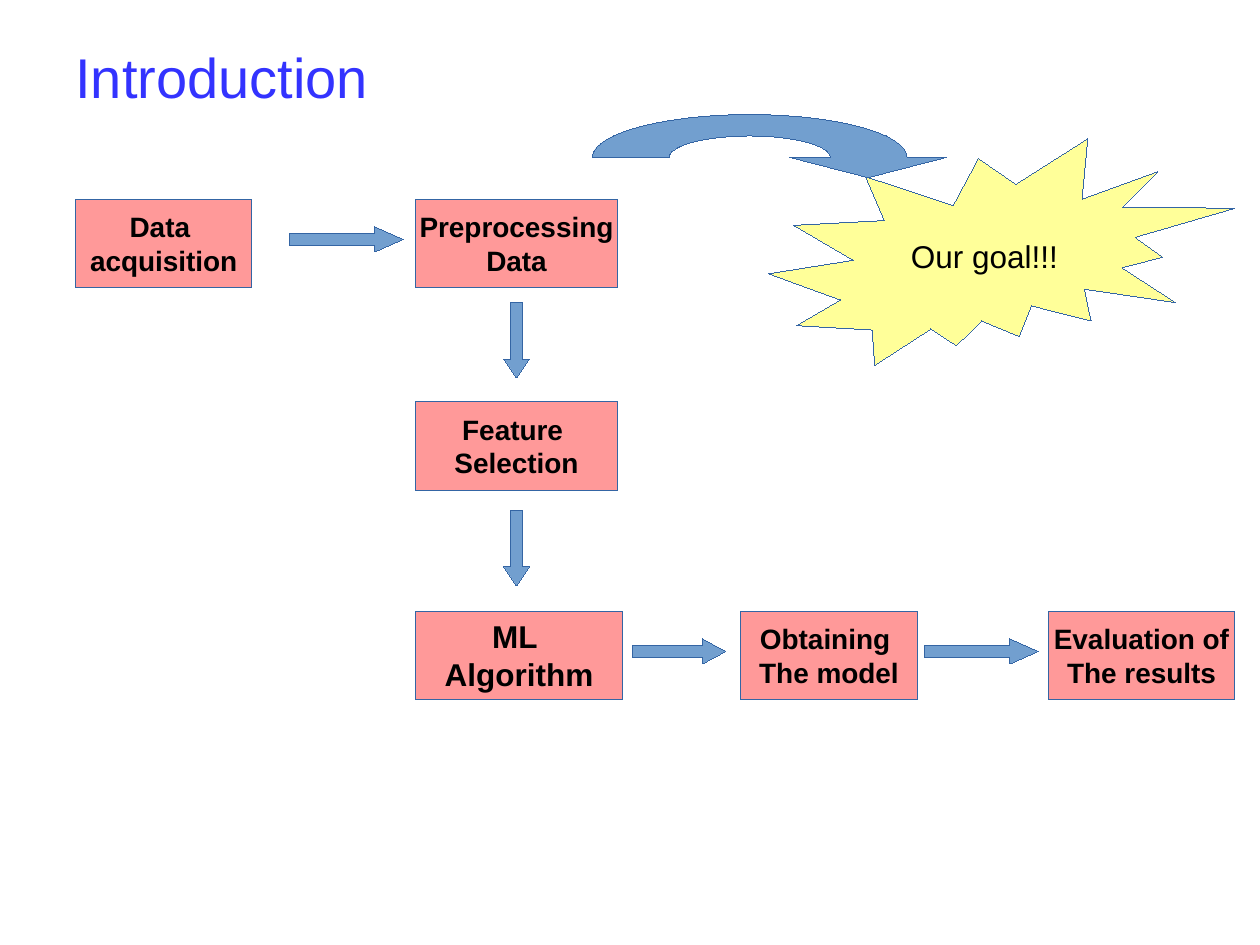
from dataclasses import dataclass
from math import cos, pi, sin

from pptx import Presentation
from pptx import util as u
from pptx.dml.color import RGBColor
from pptx.enum import shapes, text


@dataclass(frozen=True)
class Theme:
    """Colours, font and type sizes of the slide."""
    font: str = "Arial"
    title: str = "3333FF"
    ink: str = "000000"
    box: str = "FF9999"
    arrow: str = "729FCF"
    burst: str = "FFFF99"
    outline: str = "3465A4"
    hairline: float = 0.01
    title_size: int = 32
    large_size: int = 18
    box_size: int = 16


THEME = Theme()
SHAPE = shapes.MSO_SHAPE


def write(s, lines, size, color, bold=False, align=text.PP_ALIGN.CENTER, wrap=False):
    """Fill a shape with one formatted paragraph per line."""
    tf = s.text_frame
    tf.word_wrap = wrap
    tf.vertical_anchor = text.MSO_ANCHOR.MIDDLE
    style = {"name": THEME.font, "size": u.Pt(size), "bold": bold}
    for i, line in enumerate(lines):
        p = tf.add_paragraph() if i else tf.paragraphs[0]
        p.alignment = align
        r = p.add_run()
        r.text = line
        for key, value in style.items():
            setattr(r.font, key, value)
        r.font.color.rgb = RGBColor.from_string(color)


def paint(s, fill):
    """Give a shape a flat fill and a hairline outline."""
    s.shadow.inherit = False
    s.fill.solid()
    s.fill.fore_color.rgb = RGBColor.from_string(fill)
    s.line.color.rgb = RGBColor.from_string(THEME.outline)
    s.line.width = u.Pt(THEME.hairline)


def add_preset(slide, kind, left, top, width, height, fill):
    """Add a painted preset shape."""
    s = slide.shapes.add_shape(kind, *map(u.Inches, (left, top, width, height)))
    paint(s, fill)
    return s


def add_title(slide, title):
    """Add the slide title."""
    s = slide.shapes.add_textbox(*map(u.Inches, (0.5, 0.3, 9, 0.61)))
    write(s, [title], THEME.title_size, THEME.title, align=text.PP_ALIGN.LEFT, wrap=True)


def add_step(slide, left, top, width, lines, size=THEME.box_size):
    """Add one process box."""
    s = add_preset(slide, SHAPE.RECTANGLE, left, top, width, 0.7, THEME.box)
    write(s, lines, size, THEME.ink, bold=True)


def add_arrow(slide, kind, left, top, width, height, head):
    """Add a block arrow whose head length is relative to its thickness."""
    s = add_preset(slide, kind, left, top, width, height, THEME.arrow)
    s.adjustments[0] = 0.5
    s.adjustments[1] = head


def add_goal(slide, label):
    """Add the starburst with the goal."""
    s = add_preset(slide, SHAPE.EXPLOSION2, 6.1, 1.1, 3.7, 1.8, THEME.burst)
    write(s, [label], THEME.large_size, THEME.ink)


def arc(cx, cy, rx, ry, steps=48):
    """Return points of an upper half ellipse from right to left."""
    angles = (pi * i / steps for i in range(steps + 1))
    return [(cx + rx * cos(a), cy - ry * sin(a)) for a in angles]


def add_curved_arrow(slide):
    """Add the arched arrow that points to the goal."""
    cx, cy = 5.95, 1.25
    inner = arc(cx, cy, 0.64, 0.17)
    outer = arc(cx, cy, 1.25, 0.34)[::-1]
    head = [(7.51, cy), (6.89, 1.41), (6.27, cy)]
    points = [(u.Inches(x), u.Inches(y)) for x, y in inner + outer + head]
    builder = slide.shapes.build_freeform(*points[0])
    builder.add_line_segments(points[1:], close=True)
    paint(builder.convert_to_shape(), THEME.arrow)


def main():
    """Build and save the slide."""
    prs = Presentation()
    prs.slide_width, prs.slide_height = u.Inches(10), u.Inches(7.5)
    slide = prs.slides.add_slide(prs.slide_layouts[6])
    add_title(slide, "Introduction")

    first, second, third = 1.58, 3.19, 4.85
    add_step(slide, 0.6, first, 1.4, ["Data ", "acquisition"])
    add_step(slide, 3.3, first, 1.6, ["Preprocessing", "Data"])
    add_step(slide, 3.3, second, 1.6, ["Feature ", "Selection"])
    add_step(slide, 3.3, third, 1.64, ["ML ", "Algorithm"], THEME.large_size)
    add_step(slide, 5.88, third, 1.4, ["Obtaining ", "The model"])
    add_step(slide, 8.32, third, 1.48, ["Evaluation of", "The results"])

    for left, top, width in ((2.3, 1.8, 0.9), (5.02, 5.07, 0.74), (7.34, 5.07, 0.9)):
        add_arrow(slide, SHAPE.RIGHT_ARROW, left, top, width, 0.2, width / 0.8)
    for top in (2.4, 4.05):
        add_arrow(slide, SHAPE.DOWN_ARROW, 4, top, 0.2, 0.6, 0.75)

    add_goal(slide, "Our goal!!!")
    add_curved_arrow(slide)
    prs.save("out.pptx")


if __name__ == "__main__":
    main()
